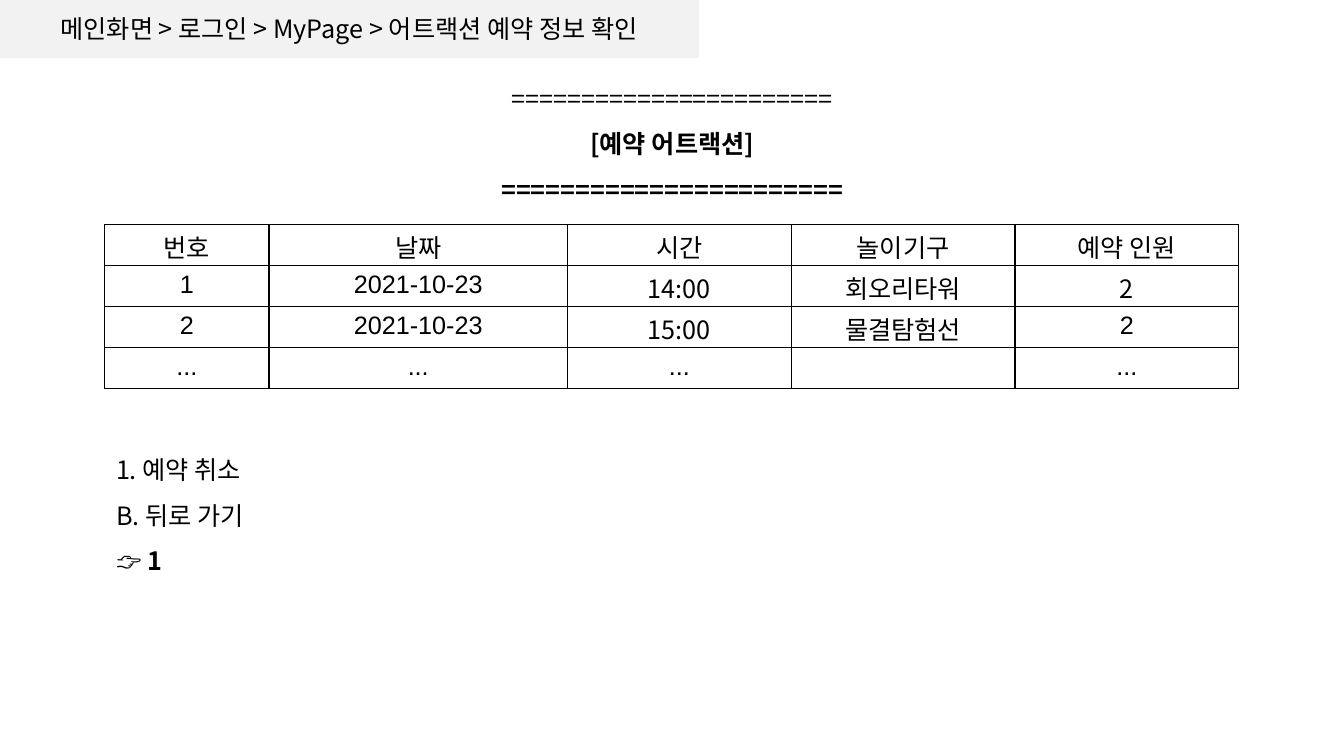
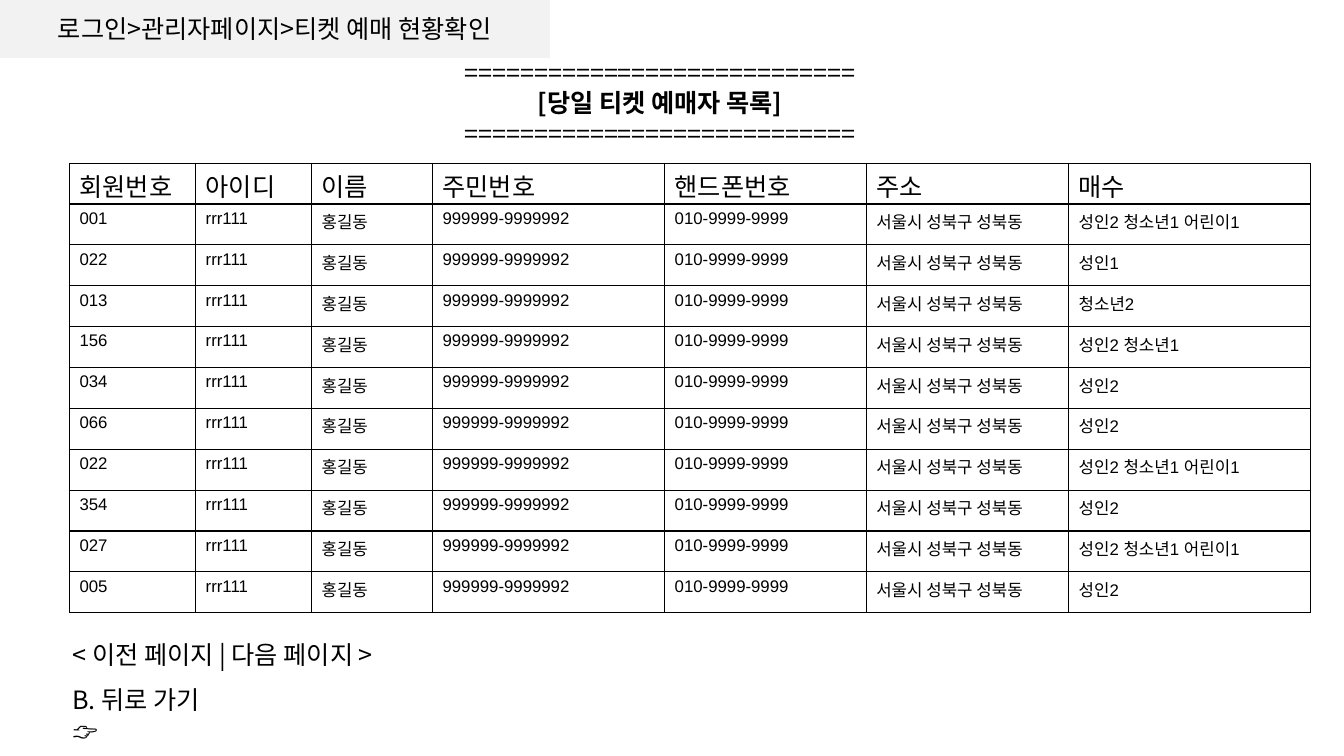
"""Build two console-style screens of a theme park booking program."""
import lxml.etree
import pptx
import pptx.dml.color
import pptx.enum.shapes
import pptx.enum.text
import pptx.oxml.ns
import pptx.util

Cm = pptx.util.Cm
Pt = pptx.util.Pt
qn = pptx.oxml.ns.qn
ALIGN = pptx.enum.text.PP_ALIGN
ANCHOR = pptx.enum.text.MSO_ANCHOR

BLACK = pptx.dml.color.RGBColor(0x00, 0x00, 0x00)
BAND_GRAY = pptx.dml.color.RGBColor(0xF2, 0xF2, 0xF2)
KOREAN_FONT = "Noto Sans CJK KR"
LATIN_FONT = "Arial"
TEXT_SIZE = 18
SMALL_SIZE = 12
SINGLE = Pt(21.6)
WIDE = Pt(32.4)
ROW_HEIGHT = Cm(1.03)

BOOKING_COLUMNS = [4.14, 7.52, 5.64, 5.64, 5.64]
BOOKING_ROWS = [
    ["번호", "날짜", "시간", "놀이기구", "예약 인원"],
    ["1", "2021-10-23", "14:00", "회오리타워", "2"],
    ["2", "2021-10-23", "15:00", "물결탐험선", "2"],
    ["...", "...", "...", "", "..."],
]
BOOKING_KOREAN_CELLS = {(1, 2), (1, 3), (1, 4), (2, 2), (2, 3)}

TICKET_COLUMNS = [3.18, 2.92, 3.05, 5.85, 5.08, 5.1, 6.1]
TICKET_HEADER = ["회원번호", "아이디", "이름", "주민번호", "핸드폰번호", "주소", "매수"]
MEMBER = ["rrr111", "홍길동", "999999-9999992", "010-9999-9999", "서울시 성북구 성북동"]
TICKETS = [
    ("001", "성인2 청소년1 어린이1"),
    ("022", "성인1"),
    ("013", "청소년2"),
    ("156", "성인2 청소년1"),
    ("034", "성인2"),
    ("066", "성인2"),
    ("022", "성인2 청소년1 어린이1"),
    ("354", "성인2"),
    ("027", "성인2 청소년1 어린이1"),
    ("005", "성인2"),
]


def format_paragraph(para, size=TEXT_SIZE, font=KOREAN_FONT, bold=False, align=ALIGN.LEFT):
    """Give every run of a paragraph its font, size and colour."""
    para.alignment = align
    for span in para.runs:
        span.font.size = Pt(size)
        span.font.bold = bold
        span.font.color.rgb = BLACK
        span.font.name = font
        properties = span.font._element
        lxml.etree.SubElement(properties, qn("a:ea"), typeface=KOREAN_FONT)


def remove_bullet(para):
    """Remove the inherited bullet and indent of a paragraph."""
    properties = para._p.get_or_add_pPr()
    properties.set("marL", "0")
    properties.set("indent", "0")
    lxml.etree.SubElement(properties, qn("a:buNone"))


def fill_placeholder(box, place, lines, align, anchor=ANCHOR.TOP):
    """Place a placeholder and fill it with (text, bold, line pitch) lines."""
    box.left, box.top, box.width, box.height = (Cm(length) for length in place)
    frame = box.text_frame
    frame.text = "\n".join(text for text, _, _ in lines)
    frame.word_wrap = True
    frame.auto_size = pptx.enum.text.MSO_AUTO_SIZE.NONE
    frame.vertical_anchor = anchor
    for para, (_, bold, pitch) in zip(frame.paragraphs, lines):
        remove_bullet(para)
        para.space_before = Pt(0)
        para.line_spacing = pitch
        format_paragraph(para, bold=bold, align=align)


def add_breadcrumb(page, width, text):
    """Add the gray band that tells where the screen belongs."""
    band = page.shapes.add_shape(
        pptx.enum.shapes.MSO_SHAPE.FLOWCHART_PROCESS, 0, 0, Cm(width), Cm(1.45))
    band.shadow.inherit = False
    band.fill.solid()
    band.fill.fore_color.rgb = BAND_GRAY
    band.line.color.rgb = BAND_GRAY
    band.line.width = Pt(1)
    band.text_frame.text = text
    band.text_frame.word_wrap = True
    band.text_frame.vertical_anchor = ANCHOR.MIDDLE
    format_paragraph(band.text_frame.paragraphs[0], align=ALIGN.CENTER)


def add_borders(cell):
    """Draw a thin black line on all four sides of a cell."""
    properties = cell._tc.get_or_add_tcPr()
    for side in ("a:lnL", "a:lnR", "a:lnT", "a:lnB"):
        line = lxml.etree.SubElement(properties, qn(side), w=str(Pt(1)))
        fill = lxml.etree.SubElement(line, qn("a:solidFill"))
        lxml.etree.SubElement(fill, qn("a:srgbClr"), val=str(BLACK))


def add_grid(page, left, top, columns, rows, body_size, align, korean_cells=()):
    """Add a plain bordered table whose first row is the header."""
    frame = page.shapes.add_table(
        len(rows), len(columns), Cm(left), Cm(top), Cm(sum(columns)), ROW_HEIGHT * len(rows))
    grid = frame.table
    grid.first_row = False
    grid.horz_banding = False
    for column, width in zip(grid.columns, columns):
        column.width = Cm(width)
    for row_index, values in enumerate(rows):
        grid.rows[row_index].height = ROW_HEIGHT
        for column_index, text in enumerate(values):
            cell = grid.cell(row_index, column_index)
            add_borders(cell)
            cell.fill.background()
            cell.text = text
            para = cell.text_frame.paragraphs[0]
            is_header = row_index == 0
            is_korean = (row_index, column_index) in korean_cells
            if is_header or is_korean:
                cell.margin_top = Cm(0.25)
                cell.margin_bottom = 0
                para.line_spacing = SINGLE
            format_paragraph(
                para,
                size=TEXT_SIZE if is_header else body_size,
                font=KOREAN_FONT if is_korean else LATIN_FONT,
                align=align)


def add_screen(deck, band_width, breadcrumb, title_place, title, menu_place, menu,
               title_anchor=ANCHOR.TOP):
    """Add a page with its breadcrumb, title and menu."""
    page = deck.slides.add_slide(deck.slide_layouts[1])
    add_breadcrumb(page, band_width, breadcrumb)
    fill_placeholder(page.shapes.title, title_place, title, ALIGN.CENTER, title_anchor)
    fill_placeholder(page.placeholders[1], menu_place, menu, ALIGN.LEFT)
    return page


def add_booking_screen(deck):
    """Add the screen that lists booked attractions."""
    rule = "=" * 23
    page = add_screen(
        deck, 17.6, "메인화면 > 로그인 > MyPage > 어트랙션 예약 정보 확인",
        (6.5, 2.03, 20.88, 3.18),
        [(rule, False, SINGLE), ("[예약 어트랙션]", True, WIDE), (rule, True, WIDE)],
        (2.67, 10.95, 7.62, 3.58),
        [("1. 예약 취소", False, WIDE), ("B. 뒤로 가기", False, WIDE), ("👉 1", True, WIDE)],
        ANCHOR.MIDDLE)
    add_grid(page, 2.64, 5.66, BOOKING_COLUMNS, BOOKING_ROWS, TEXT_SIZE,
             ALIGN.CENTER, BOOKING_KOREAN_CELLS)


def add_ticket_screen(deck):
    """Add the screen that lists the ticket buyers of the day."""
    rule = "=" * 28
    page = add_screen(
        deck, 13.84, "로그인>관리자페이지>티켓 예매 현황확인",
        (7.54, 1.32, 18.19, 3.33),
        [(rule, False, SINGLE), ("[당일 티켓 예매자 목록]", True, SINGLE),
         (rule, False, SINGLE)],
        (1.57, 15.6, 17.2, 3.33),
        [("< 이전 페이지 | 다음 페이지 >", False, WIDE), ("B. 뒤로 가기", False, WIDE),
         ("👉", True, SINGLE)])
    rows = [TICKET_HEADER] + [[number, *MEMBER, count] for number, count in TICKETS]
    add_grid(page, 1.75, 4.11, TICKET_COLUMNS, rows, SMALL_SIZE, ALIGN.LEFT)


def main():
    """Build and save the deck."""
    deck = pptx.Presentation()
    deck.slide_width = Cm(33.87)
    deck.slide_height = Cm(19.05)
    add_booking_screen(deck)
    add_ticket_screen(deck)
    deck.save("out.pptx")


if __name__ == "__main__":
    main()
